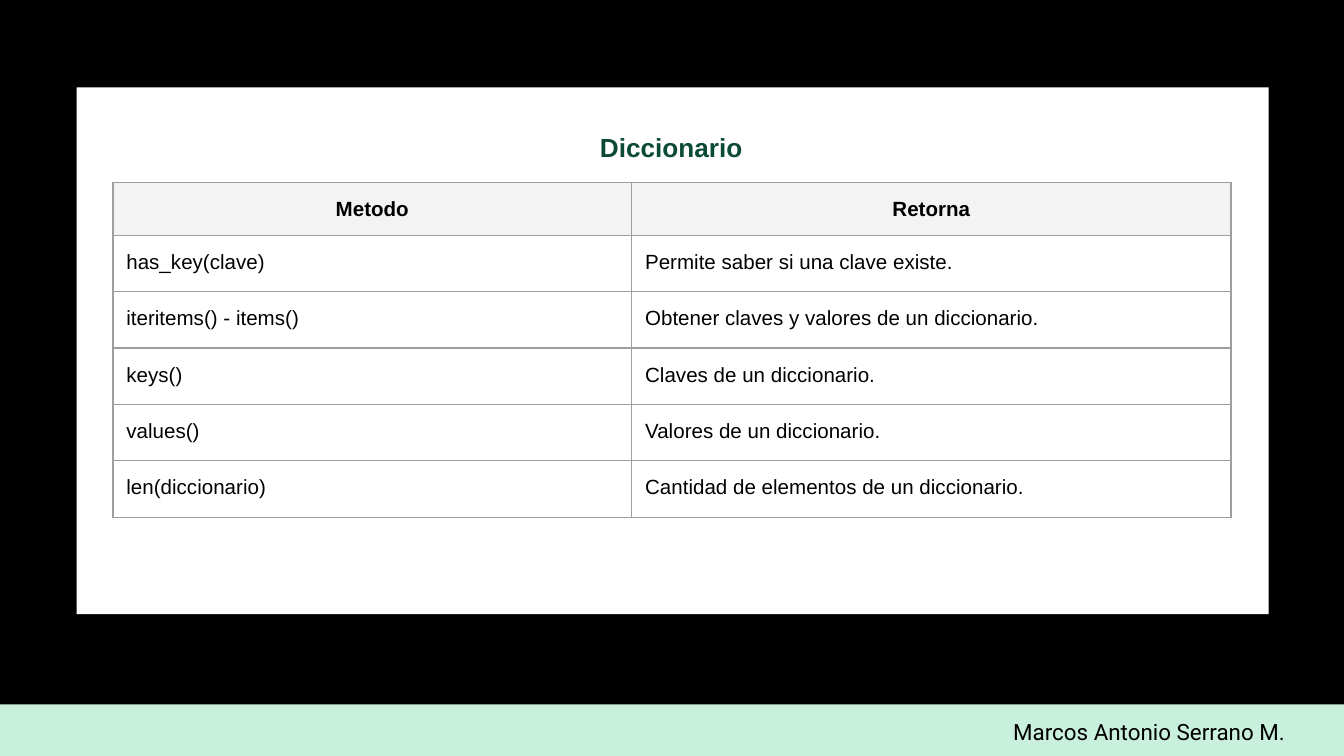
"""Build a slide with a table of dictionary methods and what they return."""
from lxml.etree import SubElement
from pptx import Presentation
from pptx.dml.color import RGBColor
from pptx.enum.shapes import MSO_SHAPE
from pptx.enum.text import PP_ALIGN
from pptx.oxml.ns import qn
from pptx.util import Inches, Pt

BLACK = RGBColor(0x00, 0x00, 0x00)
WHITE = RGBColor(0xFF, 0xFF, 0xFF)
MINT = RGBColor(0xC9, 0xF0, 0xDD)
GREEN = RGBColor(0x0C, 0x4B, 0x33)
HEADER_GRAY = RGBColor(0xF3, 0xF3, 0xF3)
BORDER_GRAY = RGBColor(0x9E, 0x9E, 0x9E)


def write(frame, text, size=11, font="Arial", color=BLACK, bold=False,
          align=PP_ALIGN.LEFT, spacing=1.0):
    para = frame.paragraphs[0]
    para.alignment = align
    para.line_spacing = spacing
    span = para.add_run()
    span.text = text
    span.font.size = Pt(size)
    span.font.name = font
    span.font.bold = bold
    span.font.color.rgb = color


deck = Presentation()
deck.slide_width = Inches(10)
deck.slide_height = Inches(10 * 9 / 16)
page = deck.slides.add_slide(deck.slide_layouts[6])
page.background.fill.solid()
page.background.fill.fore_color.rgb = BLACK

for left, top, width, height, color in [
    (0, 5.24, 10, 0.39, MINT),
    (0.57, 0.65, 8.87, 3.92, WHITE),
]:
    panel = page.shapes.add_shape(
        MSO_SHAPE.RECTANGLE, Inches(left), Inches(top), Inches(width), Inches(height))
    panel.shadow.inherit = False
    panel.fill.solid()
    panel.fill.fore_color.rgb = color
    panel.line.fill.background()

for left, top, width, height, text, style in [
    (6.67, 5.24, 2.99, 0.38, "Marcos Antonio Serrano M.",
     {"size": 12, "font": "Roboto", "align": PP_ALIGN.RIGHT}),
    (2.81, 0.88, 4.37, 0.45, "Diccionario",
     {"size": 14, "color": GREEN, "bold": True, "align": PP_ALIGN.CENTER}),
]:
    box = page.shapes.add_textbox(
        Inches(left), Inches(top), Inches(width), Inches(height))
    frame = box.text_frame
    frame.word_wrap = True
    frame.margin_left = frame.margin_right = Inches(0.1)
    frame.margin_top = frame.margin_bottom = Inches(0.1)
    write(frame, text, **style)

methods = [
    ("Metodo", "Retorna"),
    ("has_key(clave)", "Permite saber si una clave existe."),
    ("iteritems() - items()", "Obtener claves y valores de un diccionario."),
    ("keys()", "Claves de un diccionario."),
    ("values()", "Valores de un diccionario."),
    ("len(diccionario)", "Cantidad de elementos de un diccionario."),
]
table = page.shapes.add_table(
    len(methods), 2, Inches(0.84), Inches(1.36), Inches(8.32), Inches(2.48)).table
table.horz_banding = False
table.columns[0].width = Inches(3.86)
table.columns[1].width = Inches(4.46)

for row_index, texts in enumerate(methods):
    is_header = row_index == 0
    table.rows[row_index].height = Inches(0.38 if is_header else 0.42)
    for column_index, text in enumerate(texts):
        cell = table.cell(row_index, column_index)
        cell.margin_left = cell.margin_right = Inches(0.1)
        cell.margin_top = cell.margin_bottom = Inches(0.09)
        write(cell.text_frame, text, bold=is_header, spacing=1.15,
              align=PP_ALIGN.CENTER if is_header else PP_ALIGN.LEFT)
        properties = cell._tc.get_or_add_tcPr()
        for side in ("a:lnL", "a:lnR", "a:lnT", "a:lnB"):
            border = SubElement(properties, qn(side), w=str(Pt(0.75)))
            fill = SubElement(border, qn("a:solidFill"))
            SubElement(fill, qn("a:srgbClr"), val=str(BORDER_GRAY))
        if is_header:
            cell.fill.solid()
            cell.fill.fore_color.rgb = HEADER_GRAY
        else:
            cell.fill.background()

deck.save("out.pptx")
